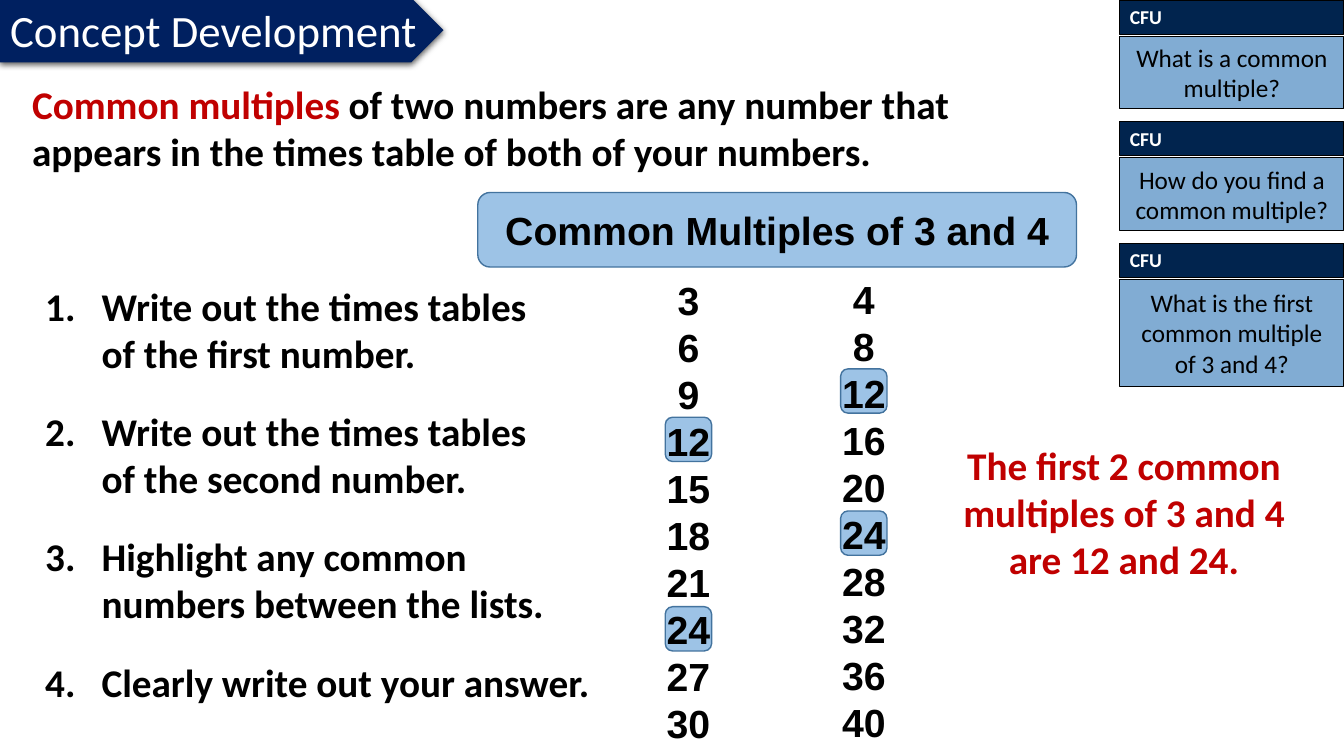
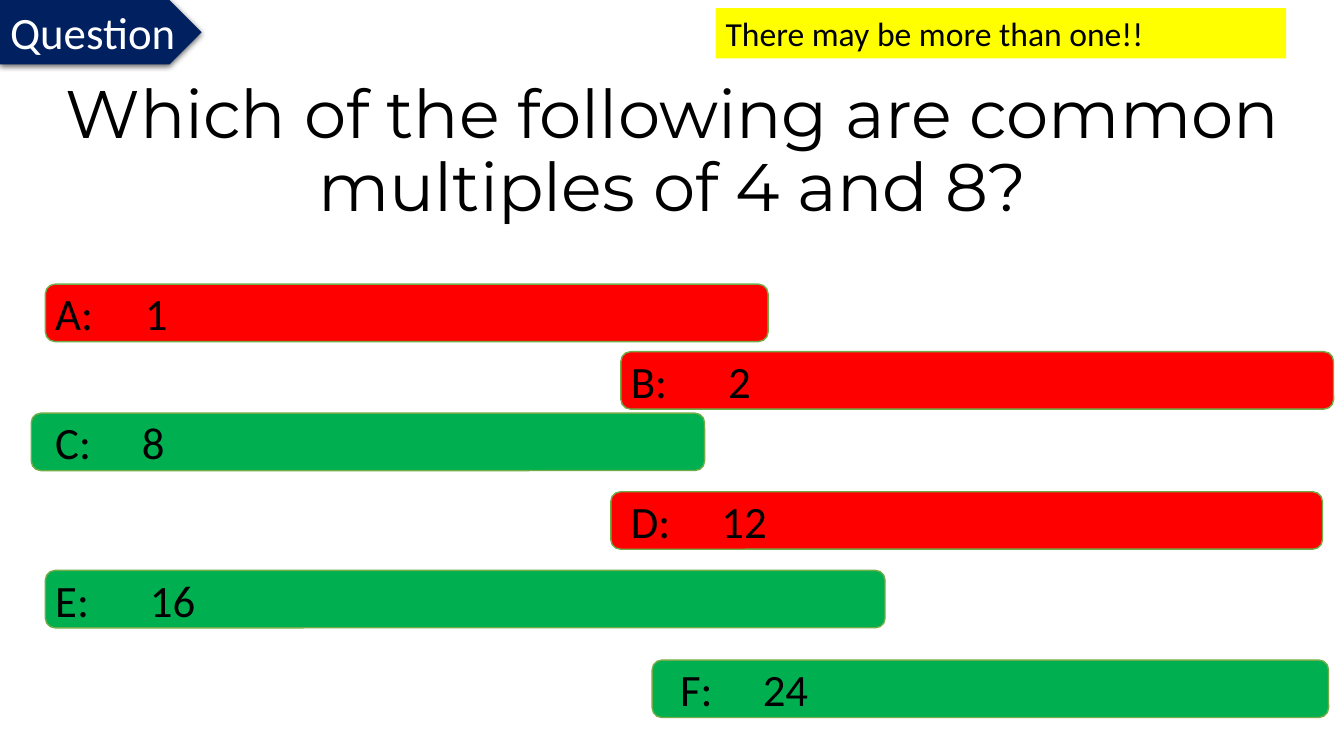
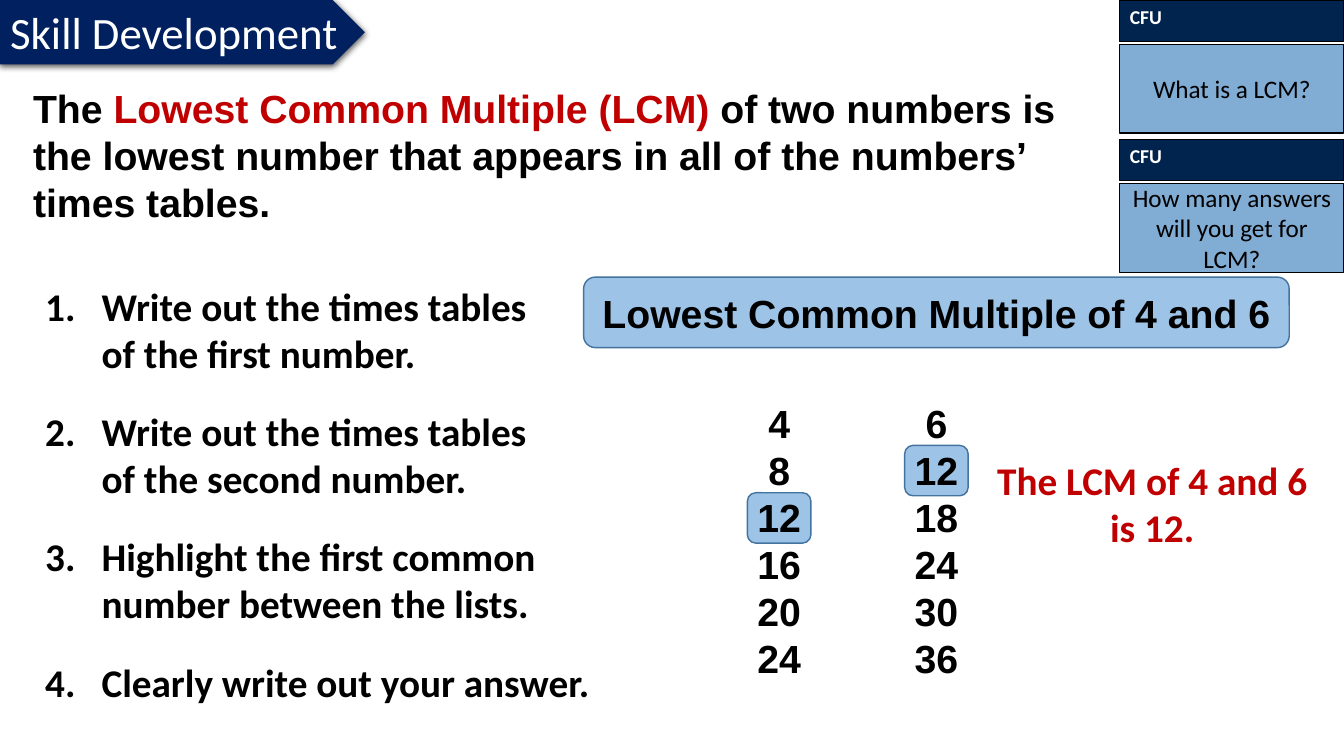
from dataclasses import dataclass

from lxml import etree
from pptx import Presentation
from pptx.dml.color import RGBColor
from pptx.enum.shapes import MSO_SHAPE
from pptx.enum.text import MSO_ANCHOR, MSO_AUTO_SIZE, PP_ALIGN
from pptx.oxml import parse_xml
from pptx.oxml.ns import nsdecls, qn
from pptx.util import Inches, Pt

RECT, ROUNDED, ARROW = MSO_SHAPE.RECTANGLE, MSO_SHAPE.ROUNDED_RECTANGLE, MSO_SHAPE.PENTAGON
LEFT, CENTER = PP_ALIGN.LEFT, PP_ALIGN.CENTER
TOP, MIDDLE = MSO_ANCHOR.TOP, MSO_ANCHOR.MIDDLE
NO_FIT = MSO_AUTO_SIZE.NONE


@dataclass(frozen=True)
class Theme:
    body: str = "Calibri"
    numbers: str = "Arial"
    display: str = "Montserrat"
    banner: str = "002060"
    card_head: str = "01244E"
    card_body: str = "2E75B6"
    highlight: str = "9DC3E6"
    highlight_line: str = "43739E"
    right: str = "00B050"
    wrong: str = "FF0000"
    option_line: str = "70AD47"
    hint: str = "FFFF00"
    accent: str = "C00000"
    black: str = "000000"
    white: str = "FFFFFF"
    question_pt: int = 48
    title_pt: int = 32
    text_pt: int = 28
    hint_pt: int = 24
    card_pt: int = 18
    label_pt: int = 14


T = Theme()
prs = Presentation()
prs.slide_width, prs.slide_height = Inches(13.33), Inches(7.5)
CELL = prs.slide_width / 40


def box(slide, kind, x, y, w, h, fill=None, line=None, line_pt=1):
    place = [round(v * CELL) for v in (x, y, w, h)]
    if kind is None:
        return slide.shapes.add_textbox(*place)
    sp = slide.shapes.add_shape(kind, *place)
    sp.shadow.inherit = False
    sp.fill.solid()
    sp.fill.fore_color.rgb = RGBColor.from_string(fill)
    if line:
        sp.line.color.rgb = RGBColor.from_string(line)
        sp.line.width = Pt(line_pt)
    else:
        sp.line.fill.background()
    return sp


def write(sp, parts, size=T.text_pt, colors=(T.black,), font=T.body, bold=False,
          align=LEFT, anchor=TOP, wrap=True):
    tf = sp.text_frame
    tf.word_wrap = wrap
    tf.vertical_anchor = anchor
    tf.text = parts[0]
    for part in parts[1:]:
        tf.paragraphs[0].add_run().text = part
    for p in tf.paragraphs:
        p.alignment = align
        for r, color in zip(p.runs, colors):
            r.font.name, r.font.size, r.font.bold = font, Pt(size), bold
            r.font.color.rgb = RGBColor.from_string(color)
    return tf


slides = []
for title, y, w in (("Concept Development", -0.06, 13.2), ("Question", 0, 6),
                    ("Skill Development", 0, 10.86)):
    s = prs.slides.add_slide(prs.slide_layouts[5])
    slides.append(s)
    banner = box(s, ARROW, 0, y, w, 1.92, T.banner)
    effects = banner.element.spPr.find(qn("a:effectLst"))
    effects.append(parse_xml(
        f'<a:outerShdw {nsdecls("a")} blurRad="57150" dist="19050" dir="5400000" '
        f'algn="ctr" rotWithShape="0"><a:srgbClr val="{T.black}"><a:alpha val="63000"/>'
        '</a:srgbClr></a:outerShdw>'))
    sp = s.shapes.title
    sp.left, sp.top, sp.width, sp.height = banner.left, banner.top, banner.width, banner.height
    sp.element.addprevious(banner.element)
    write(sp, [title], T.title_pt, [T.white]).auto_size = NO_FIT

concept, question, skill = slides

lessons = [
    dict(slide=concept,
         intro=(0.66, 2.25, 30.3, 3.12), intro_font=T.body,
         intro_parts=["Common multiples ",
                      "of two numbers are any number that appears in the times table "
                      "of both of your numbers."],
         intro_colors=[T.accent, T.black],
         heading="Common Multiples of 3 and 4", heading_at=(14.22, 5.73, 17.82, 2.22),
         columns=[(3, 17.43, 8.07), (4, 22.65, 8.04)], count=10,
         common=(12, 24), mark=(1.38, 1.32),
         step="Highlight any common numbers between the lists.",
         answer="The first 2 common multiples of 3 and 4 are 12 and 24.",
         answer_at=(27.6, 12.99, 11.7, 4.53),
         head=1.02, split=0.06, gap=0.38,
         cards=[("What is a common multiple?", 2.16),
                ("How do you find a common multiple?", 2.16),
                ("What is the first common multiple of 3 and 4?", 3.18)]),
    dict(slide=skill,
         intro=(0.69, 2.37, 32.25, 4.53), intro_font=T.numbers,
         intro_parts=["The ", "Lowest Common Multiple (LCM) ",
                      "of two numbers is the lowest number that appears in all of the "
                      "numbers’ times tables."],
         intro_colors=[T.black, T.accent, T.black],
         heading="Lowest Common Multiple of 4 and 6", heading_at=(17.37, 8.25, 21, 2.1),
         columns=[(4, 20.13, 11.73), (6, 24.81, 11.73)], count=6,
         common=(12,), mark=(1.89, 1.5),
         step="Highlight the first common number between the lists.",
         answer="The LCM of 4 and 6 is 12.",
         answer_at=(28.92, 13.44, 10.74, 3.12),
         head=1.23, split=0.09, gap=0.18,
         cards=[("What is a LCM?", 2.64),
                ("How many answers will you get for LCM?", 2.64)]),
]

ROW, COLUMN_W, CARD_X, CARD_W = 1.41, 6.12, 33.33, 6.67

for lesson in lessons:
    s = lesson["slide"]
    write(box(s, None, *lesson["intro"]), lesson["intro_parts"],
          colors=lesson["intro_colors"], font=lesson["intro_font"], bold=True)
    write(box(s, ROUNDED, *lesson["heading_at"], T.highlight, T.highlight_line),
          [lesson["heading"]], font=T.numbers, bold=True, align=CENTER, anchor=MIDDLE,
          wrap=False)

    mark_w, mark_h = lesson["mark"]
    for base, x, y in lesson["columns"]:
        for value in lesson["common"]:
            row = value // base - 1
            box(s, ROUNDED, x + (COLUMN_W - mark_w) / 2, y + 0.12 + row * ROW,
                mark_w, mark_h, T.highlight, T.highlight_line)
        multiples = [str(base * n) for n in range(1, lesson["count"] + 1)]
        write(box(s, None, x, y, COLUMN_W, lesson["count"] * ROW + 0.3),
              ["\n".join(multiples)], font=T.numbers, bold=True, align=CENTER)

    steps = [("Write out the times tables of the first number.", 15, 2),
             ("Write out the times tables of the second number.", 15.3, 2),
             (lesson["step"], 16, 2),
             ("Clearly write out your answer.", 17.55, 1)]
    for i, (text, w, lines) in enumerate(steps):
        sp = box(s, None, 1.05, 8.25 + i * 3.73, w, lines * ROW + 0.3)
        p_pr = write(sp, [text], bold=True).paragraphs[0]._p.get_or_add_pPr()
        p_pr.set("marL", str(Inches(0.56)))
        p_pr.set("indent", str(-Inches(0.56)))
        etree.SubElement(p_pr, qn("a:buFont"), typeface="+mj-lt")
        etree.SubElement(p_pr, qn("a:buAutoNum"), type="arabicPeriod", startAt=str(i + 1))

    write(box(s, None, *lesson["answer_at"]), [lesson["answer"]], colors=[T.accent],
          bold=True, align=CENTER)

    y = 0
    for text, h in lesson["cards"]:
        write(box(s, RECT, CARD_X, y, CARD_W, lesson["head"], T.card_head, T.black, 0.75),
              ["CFU"], T.label_pt, [T.white], bold=True)
        y += lesson["head"] + lesson["split"]
        sp = box(s, RECT, CARD_X, y, CARD_W, h, T.card_body, T.black, 0.75)
        color = sp.element.spPr.find(qn("a:solidFill")).find(qn("a:srgbClr"))
        etree.SubElement(color, qn("a:alpha"), val="60000")
        write(sp, [text], T.card_pt, align=CENTER, anchor=MIDDLE)
        y += h + lesson["gap"]

tf = write(box(question, None, 0.24, 2.25, 39.54, 4.35),
           ["Which of the following are common multiples of 4 and 8?"],
           T.question_pt, font=T.display, align=CENTER)
tf.paragraphs[0].line_spacing = 0.9

options = [("A", 1, 1.35, 8.46, 21.51, 0.21, 2.67),
           ("B", 2, 18.48, 10.47, 21.21, 0.21, 2.9),
           ("C", 8, 0.93, 12.3, 20.04, 0.63, 2.58),
           ("D", 12, 18.18, 14.64, 21.18, 0.51, 2.7),
           ("E", 16, 1.35, 16.98, 24.99, 0.21, 2.82),
           ("F", 24, 19.41, 19.65, 20.13, 0.75, 2.46)]
for letter, value, x, y, w, inset, tab in options:
    fill = T.right if value % 8 == 0 else T.wrong
    sp = box(question, ROUNDED, x, y, w, 1.71, fill, T.option_line)
    tf = write(sp, [f"{letter}:\t{value}"], T.title_pt, anchor=MIDDLE)
    tf.margin_left, tf.margin_top, tf.margin_bottom = round(inset * CELL), 0, 0
    tabs = etree.SubElement(tf.paragraphs[0]._p.get_or_add_pPr(), qn("a:tabLst"))
    etree.SubElement(tabs, qn("a:tab"), pos=str(round(tab * CELL)), algn="l")

write(box(question, RECT, 21.3, 0.24, 16.98, 1.5, T.hint),
      ["There may be more than one!!"], T.hint_pt)

prs.save("out.pptx")
